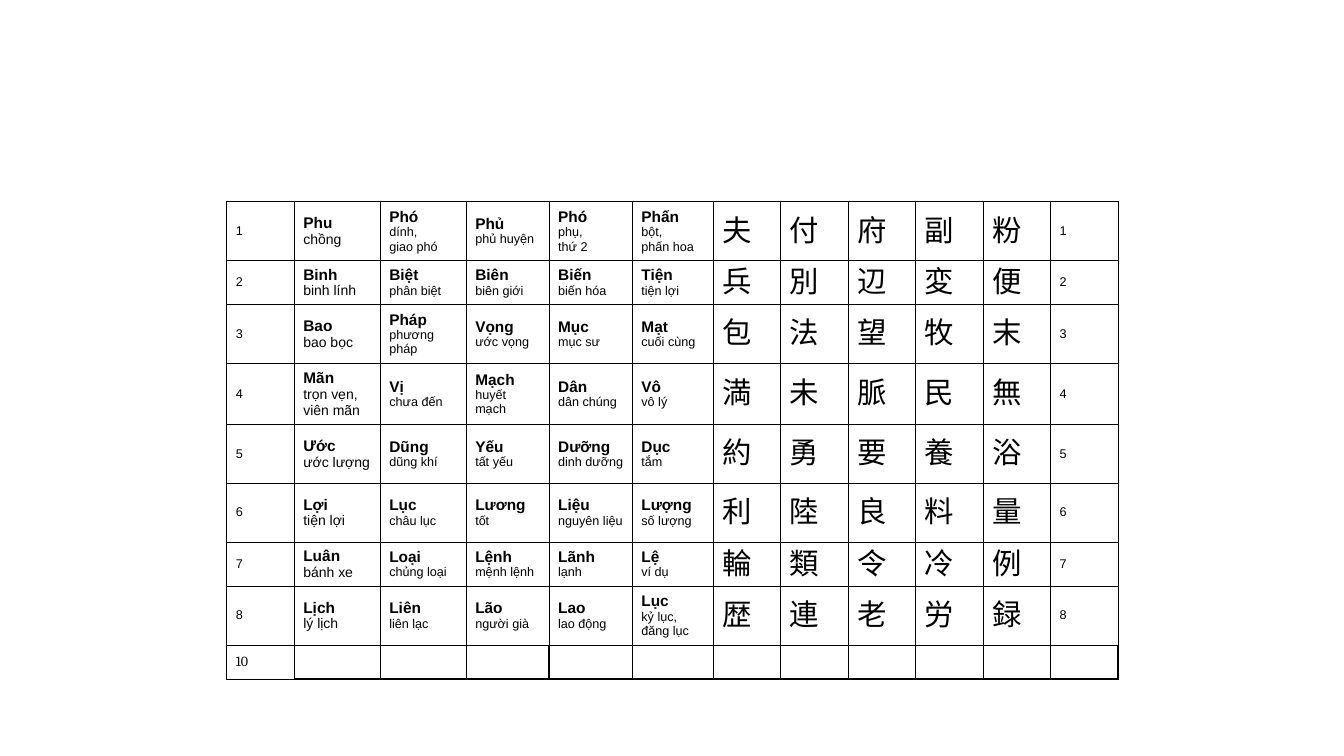
"""Build a slide with a table of kanji and their Sino-Vietnamese readings."""
import copy
import dataclasses
import typing

import lxml.etree
import pptx
import pptx.dml.color
import pptx.enum.text
import pptx.oxml.ns
import pptx.util

Pt = pptx.util.Pt
qn = pptx.oxml.ns.qn
BLACK = "000000"
THIN, THICK = 0.5, 1
COL_WIDTHS = [48.2, 61.4, 61.4, 59.2, 59.5, 57.8] + [48.2] * 6
LAST_HEIGHT = 24.4


@dataclasses.dataclass
class Word:
    reading: str
    meaning: str


@dataclasses.dataclass
class Lesson:
    height: float
    words: list[Word]
    kanji: str


@dataclasses.dataclass
class Style:
    size: float
    font: str = "Arial"
    bold: bool = False


NUMBER = Style(9)
READING = Style(11, bold=True)
FIRST_MEANING = Style(10)
MEANING = Style(9)
KANJI = Style(21, "Roboto")
LAST_NUMBER = Style(10, "Cambria")

LESSONS = [
    Lesson(42, [Word("Phu", "chồng"), Word("Phó", "dính,\ngiao phó"), Word("Phủ", "phủ huyện"),
                Word("Phó", "phụ,\nthứ 2"), Word("Phấn", "bột,\nphấn hoa")], "夫付府副粉"),
    Lesson(31.6, [Word("Binh", "binh lính"), Word("Biệt", "phân biệt"), Word("Biên", "biên giới"),
                  Word("Biến", "biến hóa"), Word("Tiện", "tiện lợi")], "兵別辺変便"),
    Lesson(42, [Word("Bao", "bao bọc"), Word("Pháp", "phương\npháp"), Word("Vọng", "ước vọng"),
                Word("Mục", "mục sư"), Word("Mạt", "cuối cùng")], "包法望牧末"),
    Lesson(43.6, [Word("Mãn", "trọn vẹn,\nviên mãn"), Word("Vị", "chưa đến"), Word("Mạch", "huyết mạch"),
                  Word("Dân", "dân chúng"), Word("Vô", "vô lý")], "満未脈民無"),
    Lesson(42, [Word("Ước", "ước lượng"), Word("Dũng", "dũng khí"), Word("Yếu", "tất yếu"),
                Word("Dưỡng", "dinh dưỡng"), Word("Dục", "tắm")], "約勇要養浴"),
    Lesson(42, [Word("Lợi", "tiện lợi"), Word("Lục", "châu lục"), Word("Lương", "tốt"),
                Word("Liệu", "nguyên liệu"), Word("Lượng", "số lượng")], "利陸良料量"),
    Lesson(31.6, [Word("Luân", "bánh xe"), Word("Loại", "chủng loại"), Word("Lệnh", "mệnh lệnh"),
                  Word("Lãnh", "lạnh"), Word("Lệ", "ví dụ")], "輪類令冷例"),
    Lesson(42, [Word("Lịch", "lý lịch"), Word("Liên", "liên lạc"), Word("Lão", "người già"),
                Word("Lao", "lao động"), Word("Lục", "kỷ lục,\nđăng lục")], "歴連老労録"),
]


def color(value: str) -> pptx.dml.color.RGBColor:
    return pptx.dml.color.RGBColor.from_string(value)


def add_run(p: typing.Any, text: str, style: Style) -> typing.Any:
    r = p.add_run()
    r.text = text
    r.font.size = Pt(style.size)
    r.font.bold = style.bold
    r.font.name = style.font
    r.font.color.rgb = color(BLACK)
    lxml.etree.SubElement(r.font._element, qn("a:ea"), typeface=style.font)
    return r


def add_break(p: typing.Any, r: typing.Any) -> None:
    p.add_line_break()
    p._p[-1].append(copy.deepcopy(r.font._element))


def add_lines(p: typing.Any, lines: list[tuple[str, Style]]) -> None:
    r = None
    for text, style in lines:
        if r is not None:
            add_break(p, r)
        r = add_run(p, text, style)


def set_borders(cell: typing.Any, left: float, right: float, top: float, bottom: float) -> None:
    tc_pr = cell._tc.get_or_add_tcPr()
    for side, width in zip("LRTB", (left, right, top, bottom)):
        ln = lxml.etree.SubElement(tc_pr, qn(f"a:ln{side}"), w=str(Pt(width)))
        fill = lxml.etree.SubElement(ln, qn("a:solidFill"))
        lxml.etree.SubElement(fill, qn("a:srgbClr"), val=BLACK)


def fill_cell(cell: typing.Any, lines: list[tuple[str, Style]]) -> None:
    set_borders(cell, THIN, THIN, THIN, THIN)
    cell.fill.background()
    cell.vertical_anchor = pptx.enum.text.MSO_ANCHOR.MIDDLE
    cell.margin_left = cell.margin_right = Pt(6.5)
    cell.margin_top = cell.margin_bottom = Pt(3)
    add_lines(cell.text_frame.paragraphs[0], lines)


def empty_cell(cell: typing.Any, left: float) -> None:
    set_borders(cell, left, THICK, THIN, THICK)
    cell.fill.background()
    p = cell.text_frame.paragraphs[0]
    lxml.etree.SubElement(p._p, qn("a:endParaRPr"), sz="1000")


def word_lines(word: Word, style: Style) -> list[tuple[str, Style]]:
    return [(word.reading, READING)] + [(line, style) for line in word.meaning.split("\n")]


def lesson_cells(number: int, lesson: Lesson) -> list[list[tuple[str, Style]]]:
    label = [(str(number), NUMBER)]
    words = [word_lines(word, MEANING if i else FIRST_MEANING) for i, word in enumerate(lesson.words)]
    return [label, *words, *([(sign, KANJI)] for sign in lesson.kanji), label]


def main() -> None:
    prs = pptx.Presentation()
    prs.slide_width, prs.slide_height = Pt(960), Pt(540)
    s = prs.slides.add_slide(prs.slide_layouts[6])
    heights = [lesson.height for lesson in LESSONS] + [LAST_HEIGHT]
    table = s.shapes.add_table(len(heights), len(COL_WIDTHS), Pt(162), Pt(144),
                               Pt(sum(COL_WIDTHS)), Pt(sum(heights))).table
    table.first_row = table.horz_banding = False
    for column, width in zip(table.columns, COL_WIDTHS):
        column.width = Pt(width)
    for row, height in zip(table.rows, heights):
        row.height = Pt(height)
    for i, lesson in enumerate(LESSONS):
        for j, lines in enumerate(lesson_cells(i + 1, lesson)):
            fill_cell(table.cell(i, j), lines)
    last = len(LESSONS)
    fill_cell(table.cell(last, 0), [("10", LAST_NUMBER)])
    for j in range(1, len(COL_WIDTHS)):
        empty_cell(table.cell(last, j), THIN if j == 1 else THICK)
    prs.save("out.pptx")


if __name__ == "__main__":
    main()
